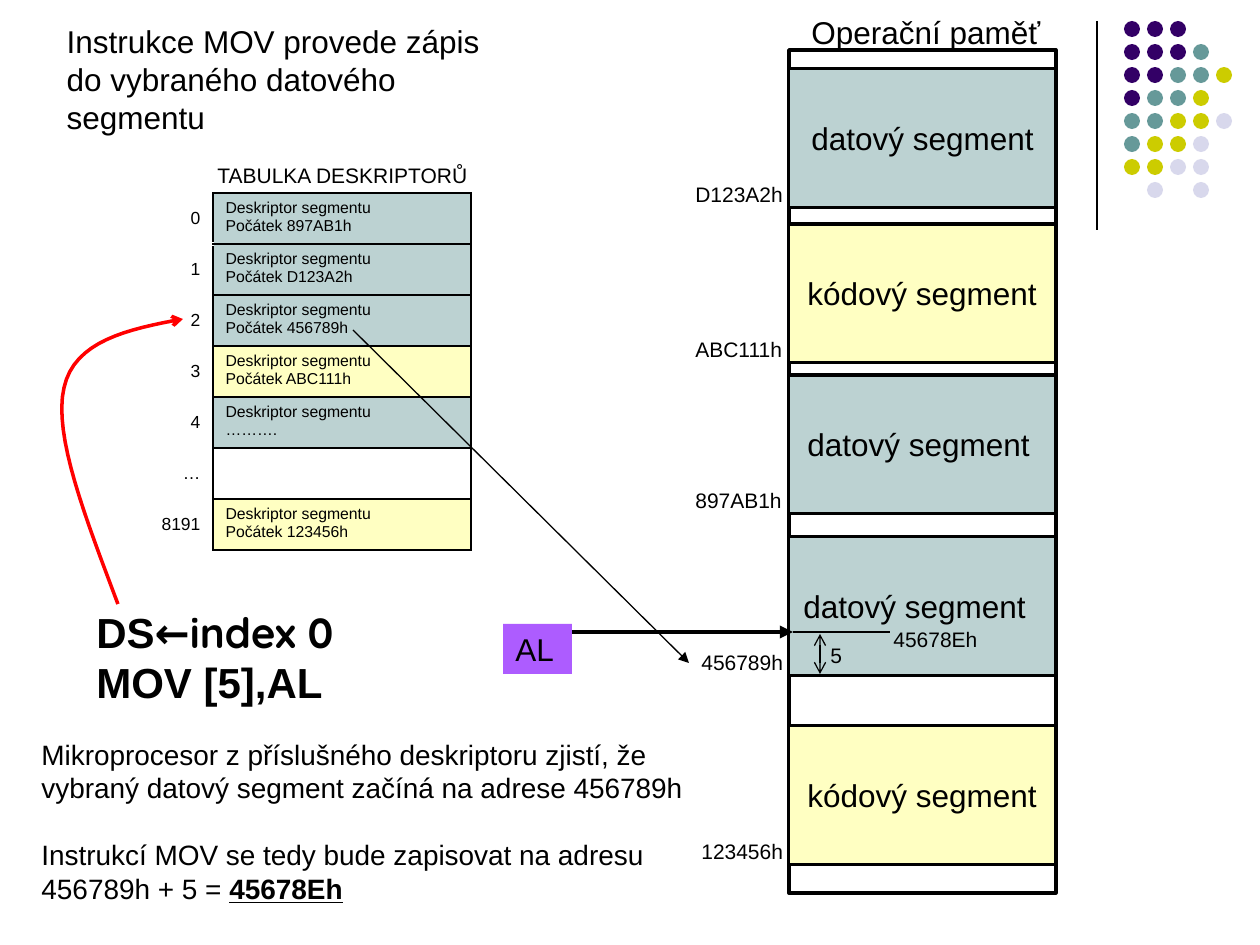
from lxml import etree
from pptx import Presentation
from pptx.dml.color import RGBColor
from pptx.enum.shapes import MSO_CONNECTOR, MSO_SHAPE
from pptx.enum.text import MSO_ANCHOR, PP_ALIGN
from pptx.oxml.ns import qn
from pptx.util import Emu, Pt

RECTANGLE, OVAL = MSO_SHAPE.RECTANGLE, MSO_SHAPE.OVAL
STRAIGHT = MSO_CONNECTOR.STRAIGHT
LEFT, RIGHT = PP_ALIGN.LEFT, PP_ALIGN.RIGHT
TOP, MIDDLE = MSO_ANCHOR.TOP, MSO_ANCHOR.MIDDLE

EMU_PER_PX = 914400 / 126
BLACK, WHITE, RED, VIOLET = "000000", "FFFFFF", "FF0000", "AD5CFF"
DATA, CODE = "BCD2D2", "FFFFC2"
DOT_COLORS = {"p": "330066", "t": "669999", "y": "CCCC00", "l": "D8D8EC"}
DOT_ROWS = ["ppp", "pppt", "pptty", "ptty", "ttyyl", "tyyl", "yyll", " l l"]

# top offset in the column, kind, label left offset, address, address left offset
SEGMENTS = [
    (19, DATA, 10, "D123A2h", -106),
    (174, CODE, 6, "ABC111h", -106),
    (325, DATA, 6, "897AB1h", -106),
    (487, DATA, 2, "456789h", -100),
    (676, CODE, 6, "123456h", -100),
]
SEGMENT_NAMES = {DATA: "datový segment", CODE: "kódový segment"}

DESCRIPTORS = [
    ("0", "Počátek 897AB1h", DATA),
    ("1", "Počátek D123A2h", DATA),
    ("2", "Počátek 456789h", DATA),
    ("3", "Počátek ABC111h", CODE),
    ("4", "……….", DATA),
    ("…", None, None),
    ("8191", "Počátek 123456h", CODE),
]


def px(length):
    return Emu(round(length * EMU_PER_PX))


def rgb(color):
    return RGBColor.from_string(color)


def style_paragraph(paragraph, size, bold=None, font="Arial", align=LEFT):
    paragraph.alignment = align
    paragraph.font.size = Pt(size)
    paragraph.font.bold = bold
    paragraph.font.name = font
    paragraph.font.color.rgb = rgb(BLACK)


def add_text(slide, box, lines, size):
    """Add a text box with one paragraph per line and return its paragraphs."""
    frame = slide.shapes.add_textbox(*map(px, box)).text_frame
    frame.word_wrap = True
    frame.text = "\n".join(lines)
    for paragraph in frame.paragraphs:
        style_paragraph(paragraph, size)
    return frame.paragraphs


def add_box(slide, kind, box, fill=None, line_width=None):
    shape = slide.shapes.add_shape(kind, *map(px, box))
    shape.shadow.inherit = False
    if fill:
        shape.fill.solid()
        shape.fill.fore_color.rgb = rgb(fill)
    else:
        shape.fill.background()
    if line_width:
        shape.line.color.rgb = rgb(BLACK)
        shape.line.width = Pt(line_width)
    else:
        shape.line.fill.background()
    return shape


def style_line(shape, color, width, head=None, tail=None):
    shape.line.color.rgb = rgb(color)
    shape.line.width = Pt(width)
    line = shape.line._get_or_add_ln()
    for tag, arrow in (("a:headEnd", head), ("a:tailEnd", tail)):
        if arrow:
            etree.SubElement(line, qn(tag), type=arrow)


def add_line(slide, start, end, width, head=None, tail=None):
    line = slide.shapes.add_connector(STRAIGHT, *map(px, start + end))
    style_line(line, BLACK, width, head, tail)
    etree.SubElement(line._element.spPr, qn("a:effectLst"))


def bezier_points(start, control_1, control_2, end, steps=16):
    """Points along a cubic curve, without its start."""
    for step in range(1, steps + 1):
        t = step / steps
        weights = ((1 - t) ** 3, 3 * t * (1 - t) ** 2, 3 * t * t * (1 - t), t ** 3)
        corners = (start, control_1, control_2, end)
        yield tuple(sum(w * corner[axis] for w, corner in zip(weights, corners))
                    for axis in (0, 1))


def add_index_arrow(slide, left, top):
    """Curved red arrow from the instruction up to the descriptor."""
    start, bend, end = (56, 285), (2, 69), (121, 0)
    points = [*bezier_points(start, (24, 200), (-9, 116), bend),
              *bezier_points(bend, (12, 22), (66, 10), end)]
    place = [(px(left + x), px(top + y)) for x, y in [start, *points]]
    builder = slide.shapes.build_freeform(*place[0], scale=1.0)
    builder.add_line_segments(place[1:], close=False)
    curve = builder.convert_to_shape()
    curve.shadow.inherit = False
    curve.fill.background()
    style_line(curve, RED, 2, tail="arrow")


def add_title(slide, box):
    title = slide.shapes.title
    title.left, title.top, title.width, title.height = map(px, box)
    frame = title.text_frame
    frame.text = "Instrukce MOV provede zápis do vybraného datového segmentu"
    frame.vertical_anchor = TOP
    style_paragraph(frame.paragraphs[0], 18)


def add_corner_dots(slide, left, top, pitch=23, size=16):
    add_line(slide, (left - 27, top), (left - 27, top + 209), 0.75)
    for row, letters in enumerate(DOT_ROWS):
        for column, letter in enumerate(letters):
            if letter in DOT_COLORS:
                box = (left + column * pitch, top + row * pitch, size, size)
                add_box(slide, OVAL, box, DOT_COLORS[letter])


def add_memory(slide, left, top, width, height):
    add_text(slide, (left + 10, top - 43, 358, 50), ["Operační paměť"], 18)
    add_box(slide, RECTANGLE, (left, top, width, height), line_width=2)
    for offset, kind, label_x, address, address_x in SEGMENTS:
        y = top + offset
        add_box(slide, RECTANGLE, (left, y, width, 139), kind, 1.75)
        add_text(slide, (left + label_x, y + 44, 278, 50), [SEGMENT_NAMES[kind]], 18)
        add_text(slide, (left + address_x, y + 106, 131, 38), [address], 12)


def set_borders(cell, left=BLACK, right=BLACK, top=BLACK, bottom=BLACK, bottom_width=1):
    properties = cell._tc.get_or_add_tcPr()
    borders = (("L", left, 1), ("R", right, 1), ("T", top, 1), ("B", bottom, bottom_width))
    for side, color, width in borders:
        line = etree.SubElement(properties, qn(f"a:ln{side}"), w=str(Pt(width)))
        fill = etree.SubElement(line, qn("a:solidFill"))
        etree.SubElement(fill, qn("a:srgbClr"), val=color)


def add_descriptor_table(slide, left, top, widths=(69, 258), row_height=51):
    add_text(slide, (left + 61, top - 37, 299, 38), ["TABULKA DESKRIPTORŮ"], 12)
    count = len(DESCRIPTORS)
    table = slide.shapes.add_table(count, 2, px(left), px(top), px(sum(widths)),
                                   px(row_height * count)).table
    table.first_row = table.horz_banding = False
    for column, width in zip(table.columns, widths):
        column.width = px(width)
    for row, (index, start, color) in enumerate(DESCRIPTORS):
        number, descriptor = table.cell(row, 0), table.cell(row, 1)
        set_borders(number, WHITE, BLACK, WHITE, WHITE, 1 if row else 3)
        number.fill.background()
        number.vertical_anchor = MIDDLE
        number.text = index
        style_paragraph(number.text_frame.paragraphs[0], 10, align=RIGHT)
        set_borders(descriptor)
        if color:
            descriptor.fill.solid()
            descriptor.fill.fore_color.rgb = rgb(color)
            descriptor.text = f"Deskriptor segmentu\n{start}"
        else:
            descriptor.fill.background()
        for paragraph in descriptor.text_frame.paragraphs:
            style_paragraph(paragraph, 9)


def add_instruction(slide, box):
    first, second = add_text(slide, box, ["DS", "MOV [5],AL"], 24)
    first.font.bold = second.font.bold = True
    index = first.add_run()
    index.text = "←index 0"
    index.font.name = "Quicksand"


def add_explanation(slide, box):
    lines = ["Mikroprocesor z příslušného deskriptoru zjistí, že vybraný datový "
             "segment začíná na adrese 456789h",
             "Instrukcí MOV se tedy bude zapisovat na adresu",
             "456789h + 5 = "]
    paragraphs = add_text(slide, box, lines, 16)
    paragraphs[1].space_before = Pt(19)
    result = paragraphs[2].add_run()
    result.text = "45678Eh"
    result.font.bold = result.font.underline = True


def add_write(slide, left, top):
    """Register AL, its arrow into memory and the offset measure."""
    register = add_box(slide, RECTANGLE, (left, top, 69, 50), VIOLET)
    register.text_frame.text = "AL"
    style_paragraph(register.text_frame.paragraphs[0], 18)
    y, target = top + 8, left + 290
    add_line(slide, (left + 69, y), (target, y), 2.5, tail="triangle")
    add_line(slide, (target, y), (target + 97, y), 0.75)
    add_text(slide, (target + 88, y - 12, 131, 38), ["45678Eh"], 12)
    add_line(slide, (target + 27, y + 2), (target + 27, y + 42), 0.75, "arrow", "arrow")
    add_text(slide, (target + 25, y + 4, 131, 38), ["5"], 12)


def main():
    presentation = Presentation()
    presentation.slide_width, presentation.slide_height = px(1260), px(945)
    slide = presentation.slides.add_slide(presentation.slide_layouts[5])
    add_title(slide, (54, 16, 446, 127))
    add_corner_dots(slide, 1124, 21)
    add_memory(slide, 789, 50, 267, 843)
    add_descriptor_table(slide, 144, 193)
    add_explanation(slide, (29, 731, 689, 183))
    add_instruction(slide, (84, 600, 417, 115))
    add_index_arrow(slide, 62, 319)
    add_line(slide, (353, 330), (689, 663), 0.75, tail="triangle")
    add_write(slide, 503, 624)
    presentation.save("out.pptx")


if __name__ == "__main__":
    main()
